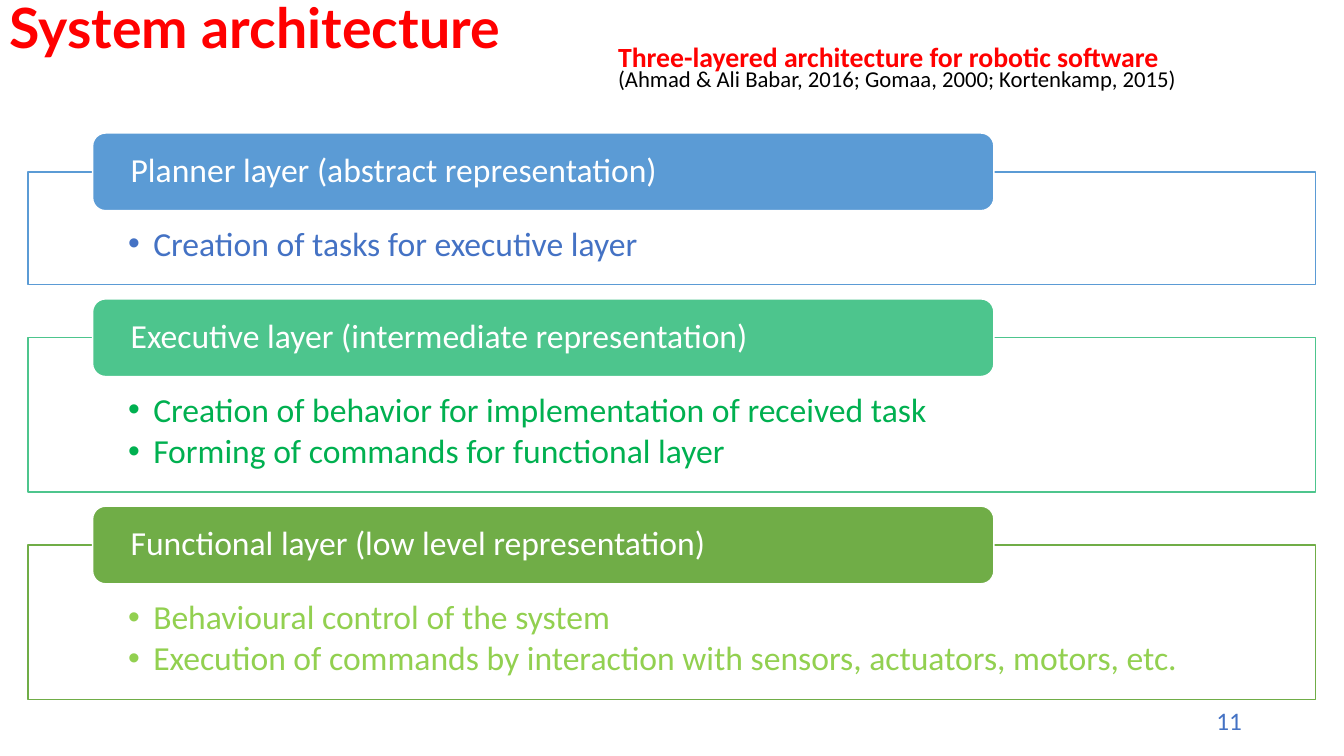
from dataclasses import dataclass

from lxml.etree import SubElement
from pptx import Presentation
from pptx.dml.color import RGBColor
from pptx.enum.shapes import MSO_SHAPE
from pptx.enum.text import MSO_ANCHOR, PP_ALIGN
from pptx.oxml.ns import qn
from pptx.util import Inches, Pt

WIDTH, HEIGHT = 13.33, 7.5


@dataclass(frozen=True)
class Theme:
    heading_font: str = "Lato"
    body_font: str = "Calibri"
    red: str = "FF0000"
    black: str = "000000"
    white: str = "FFFFFF"
    blue: str = "4472C4"
    title_size: float = 39.6
    subtitle_size: float = 19.8
    citation_size: float = 16.2
    layer_size: float = 24
    number_size: float = 18


THEME = Theme()

# Layer name, header colour, text colour, duties
LAYERS = [
    ("Planner layer (abstract representation)", "5B9BD5", "4472C4",
     ["Creation of tasks for executive layer"]),
    ("Executive layer (intermediate representation)", "4DC58D", "00B050",
     ["Creation of behavior for implementation of received task",
      "Forming of commands for functional layer"]),
    ("Functional layer (low level representation)", "70AD47", "92D050",
     ["Behavioural control of the system",
      "Execution of commands by interaction with sensors, actuators, motors, etc."]),
]

# Layer stack, in percent of the slide's width (x) or height (y)
STACK_LEFT, STACK_TOP, STACK_WIDTH = 2.1, 17.6, 95.8
HEADER_HEIGHT, LAYER_GAP = 10.27, 1.87
FRAME_BASE, DUTY_HEIGHT = 9.47, 5.47


def col(percent):
    return Inches(WIDTH * percent / 100)


def row(percent):
    return Inches(HEIGHT * percent / 100)


def area(left, top, width, height):
    return col(left), row(top), col(width), row(height)


def add_bullet(paragraph):
    properties = paragraph._p.get_or_add_pPr()
    properties.set("marL", str(Inches(0.25)))
    properties.set("indent", str(Inches(-0.25)))
    SubElement(properties, qn("a:buFont"), typeface="Arial")
    SubElement(properties, qn("a:buChar"), char="•")


def write(frame, text, size, color, font=THEME.body_font, bold=False,
          align=PP_ALIGN.LEFT, spacing=0.9, after=0, bullet=False):
    """Write into the empty first paragraph, or else add a new one."""
    first = frame.paragraphs[0]
    paragraph = frame.add_paragraph() if first.runs else first
    if bullet:
        add_bullet(paragraph)
    paragraph.alignment = align
    paragraph.line_spacing = spacing
    paragraph.space_after = Pt(after)
    run = paragraph.add_run()
    run.text = text
    run.font.name, run.font.size, run.font.bold = font, Pt(size), bold
    run.font.color.rgb = RGBColor.from_string(color)


def add_text_area(slide, place):
    frame = slide.shapes.add_textbox(*place).text_frame
    frame.word_wrap = True
    frame.vertical_anchor = MSO_ANCHOR.MIDDLE
    return frame


def add_panel(slide, kind, place, fill, line, anchor, insets):
    panel = slide.shapes.add_shape(kind, *place)
    panel.shadow.inherit = False
    panel.fill.solid()
    panel.fill.fore_color.rgb = RGBColor.from_string(fill)
    panel.line.color.rgb = RGBColor.from_string(line)
    panel.line.width = Pt(1)
    frame = panel.text_frame
    frame.word_wrap = True
    frame.vertical_anchor = anchor
    (frame.margin_left, frame.margin_top,
     frame.margin_right, frame.margin_bottom) = insets
    return panel


def add_layer(slide, top, name, accent, text_color, duties):
    """Draw one layer and return the bottom of its frame."""
    frame_top = top + HEADER_HEIGHT / 2
    frame_height = FRAME_BASE + DUTY_HEIGHT * len(duties)

    # Outlined frame with the duties
    frame = add_panel(
        slide, MSO_SHAPE.RECTANGLE,
        area(STACK_LEFT, frame_top, STACK_WIDTH, frame_height),
        THEME.white, accent, MSO_ANCHOR.TOP,
        (col(7.43), row(7.33), col(7.43), row(2.53)))
    white = frame.fill._xPr.find(".//" + qn("a:srgbClr"))
    SubElement(white, qn("a:alpha"), val="90000")
    for duty in duties:
        write(frame.text_frame, duty, THEME.layer_size, text_color,
              after=3.6, bullet=True)

    # Header over the frame's top edge
    header = add_panel(
        slide, MSO_SHAPE.ROUNDED_RECTANGLE,
        area(STACK_LEFT + STACK_WIDTH * 0.05, top, STACK_WIDTH * 0.7, HEADER_HEIGHT),
        accent, THEME.white, MSO_ANCHOR.MIDDLE, (col(2.55), 0, col(2.55), 0))
    write(header.text_frame, name, THEME.layer_size, THEME.white)
    return frame_top + frame_height


def main():
    deck = Presentation()
    deck.slide_width, deck.slide_height = Inches(WIDTH), Inches(HEIGHT)
    slide = deck.slides.add_slide(deck.slide_layouts[6])

    # Title
    title = add_text_area(slide, area(0, 0, 86.25, 8))
    write(title, "System architecture", THEME.title_size, THEME.red,
          font=THEME.heading_font, bold=True)

    # Layers, stacked with equal gaps
    top = STACK_TOP
    for layer in LAYERS:
        top = add_layer(slide, top, *layer) + LAYER_GAP

    # Slide number
    number = add_text_area(slide, area(70.65, 92.67, 22.5, 5.33))
    write(number, "11", THEME.number_size, THEME.blue,
          align=PP_ALIGN.RIGHT, spacing=1.0)

    # Subtitle with its citation
    subtitle = add_text_area(slide, area(45.25, 5.33, 47.9, 8))
    write(subtitle, "Three-layered architecture for robotic software",
          THEME.subtitle_size, THEME.red, bold=True, spacing=0.7)
    write(subtitle, "(Ahmad & Ali Babar, 2016; Gomaa, 2000; Kortenkamp, 2015)",
          THEME.citation_size, THEME.black, spacing=0.7)

    deck.save("out.pptx")


if __name__ == "__main__":
    main()
